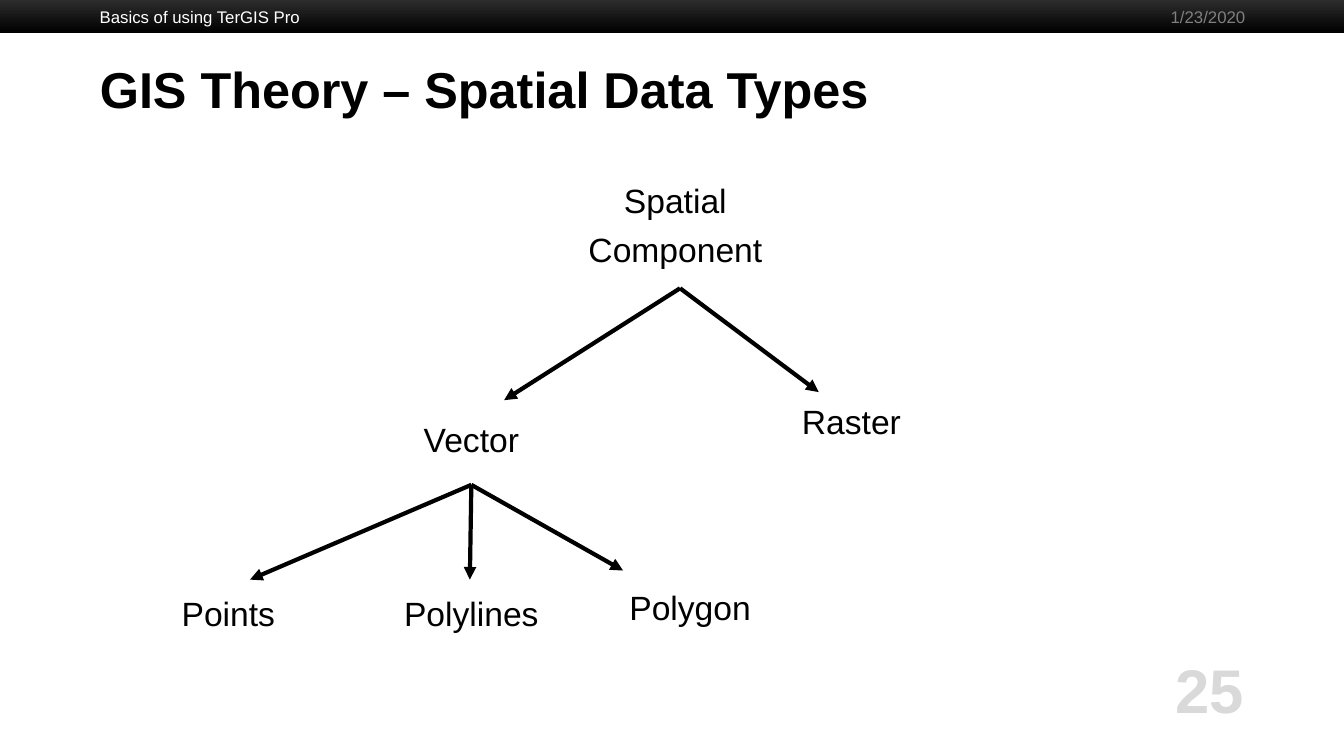
from pptx import Presentation
from pptx.dml.color import RGBColor
from pptx.enum.shapes import MSO_CONNECTOR, MSO_SHAPE
from pptx.enum.text import MSO_ANCHOR as Anchor, PP_ALIGN as Align
from pptx.oxml.ns import qn
from pptx.util import Inches, Pt
from lxml.etree import SubElement

BOTTOM = 2


def color(hex_text):
    return RGBColor.from_string(hex_text)


def write(shape, text, size=24, ink="000000", bold=False, align=Align.CENTER,
          anchor=Anchor.TOP, inset=0.05, spacing=6, wrap=True):
    """Fill a shape with one paragraph per line of text."""
    frame = shape.text_frame
    frame.word_wrap = wrap
    frame.vertical_anchor = anchor
    frame.margin_left = frame.margin_right = Inches(0.1)
    frame.margin_top = frame.margin_bottom = Inches(inset)
    frame.text = text
    for index, paragraph in enumerate(frame.paragraphs):
        paragraph.alignment = align
        paragraph.space_before = Pt(spacing if index else 0)
        font = paragraph.font
        font.name, font.size, font.bold = "Arial", Pt(size), bold
        font.color.rgb = color(ink)


class TreeSlide:
    node_width = 2.17
    arrow_color = "000000"
    arrow_weight = 3

    def __init__(self, presentation):
        self.slide = presentation.slides.add_slide(presentation.slide_layouts[5])
        self.shapes = self.slide.shapes

    def bar(self, left, top, width, height, upper, lower):
        shape = self.shapes.add_shape(MSO_SHAPE.RECTANGLE, *map(Inches, (left, top, width, height)))
        shape.shadow.inherit = False
        shape.line.fill.background()
        shape.fill.gradient()
        shape.fill.gradient_angle = 270
        for stop, position, shade in zip(shape.fill.gradient_stops, (0, 1), (upper, lower)):
            stop.position = position
            stop.color.rgb = color(shade)

    def title(self, text, left, top, width, height):
        title = self.shapes.title
        title.left, title.top, title.width, title.height = map(Inches, (left, top, width, height))
        write(title, text, size=36, bold=True, align=Align.LEFT, anchor=Anchor.MIDDLE)

    def text(self, text, left, top, width, height, **style):
        box = self.shapes.add_textbox(*map(Inches, (left, top, width, height)))
        write(box, text, **style)
        return box

    def node(self, text, left, top, height=0.7):
        return self.text(text, left, top, self.node_width, height)

    def arrow(self, parent, end_x, end_y):
        """Draw an arrow from the bottom of a node to a point."""
        end = Inches(end_x), Inches(end_y)
        connector = self.shapes.add_connector(MSO_CONNECTOR.STRAIGHT, *end, *end)
        connector.begin_connect(parent, BOTTOM)
        connector.line.color.rgb = color(self.arrow_color)
        connector.line.width = Pt(self.arrow_weight)
        SubElement(connector.line._get_or_add_ln(), qn("a:tailEnd"), type="triangle")
        SubElement(connector._element.spPr, qn("a:effectLst"))


def main():
    presentation = Presentation()
    presentation.slide_width, presentation.slide_height = Inches(13.33), Inches(7.5)
    tree = TreeSlide(presentation)

    tree.bar(0, -0.05, 13.33, 0.38, "333333", "000000")
    tree.title("GIS Theory – Spatial Data Types", 0.89, 0.5, 11.56, 0.75)
    tree.text("Basics of using TerGIS Pro", 0.89, 0, 7.44, 0.33, size=12, ink="FFFFFF",
              align=Align.LEFT, anchor=Anchor.MIDDLE)
    tree.text("1/23/2020", 9.67, 0, 2.78, 0.33, size=12, ink="808080",
              align=Align.RIGHT, anchor=Anchor.MIDDLE)
    tree.text("25", 10.33, 6.46, 2.11, 0.75, size=44, ink="D9D9D9", bold=True,
              align=Align.RIGHT, anchor=Anchor.MIDDLE, inset=0, wrap=False)

    component = tree.node("Spatial \nComponent ", 5.66, 1.74, 1.12)
    vector = tree.node("Vector", 3.59, 4.11)
    for label, left, top in (("Raster", 7.36, 3.93), ("Points", 1.18, 5.83),
                             ("Polylines", 3.59, 5.83), ("Polygon", 5.76, 5.77)):
        tree.node(label, left, top)

    for parent, end_x, end_y in ((component, 5, 3.97), (component, 8.12, 3.89),
                                 (vector, 2.48, 5.75), (vector, 4.66, 5.75),
                                 (vector, 6.18, 5.66)):
        tree.arrow(parent, end_x, end_y)

    presentation.save("out.pptx")


if __name__ == "__main__":
    main()
